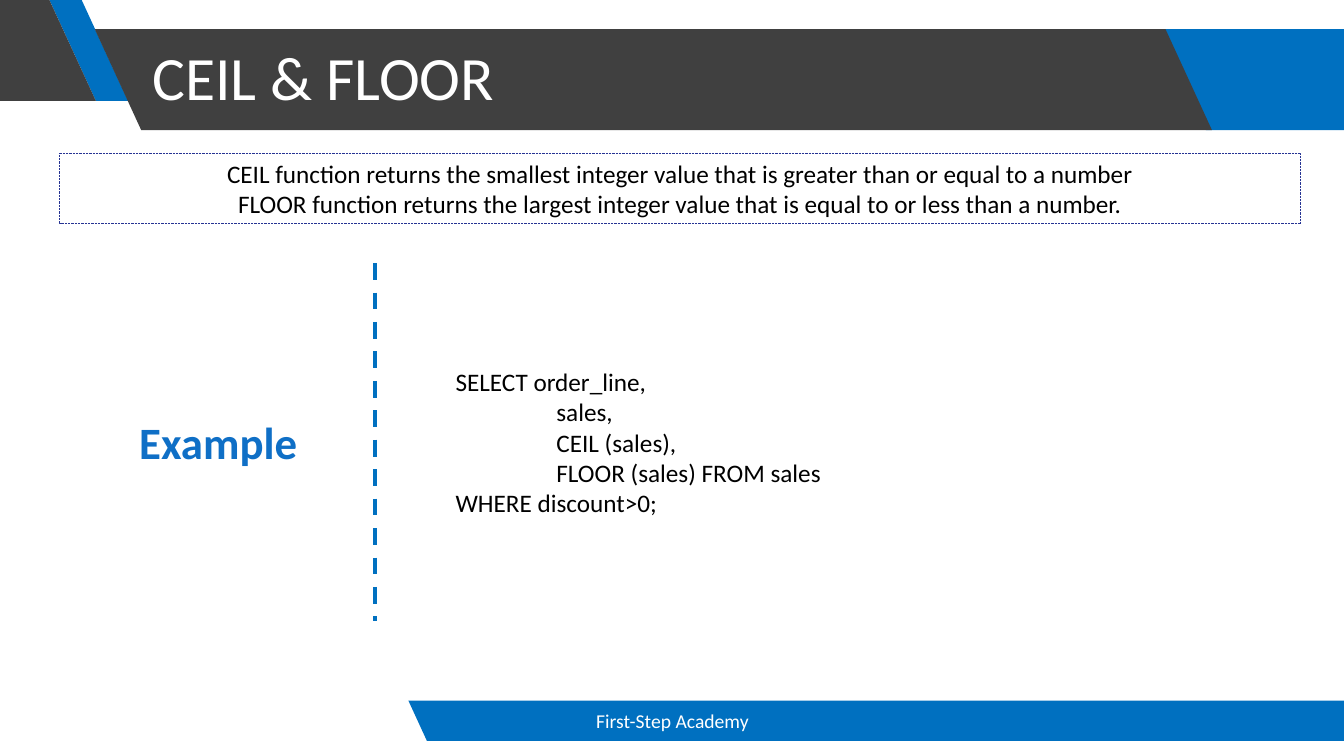
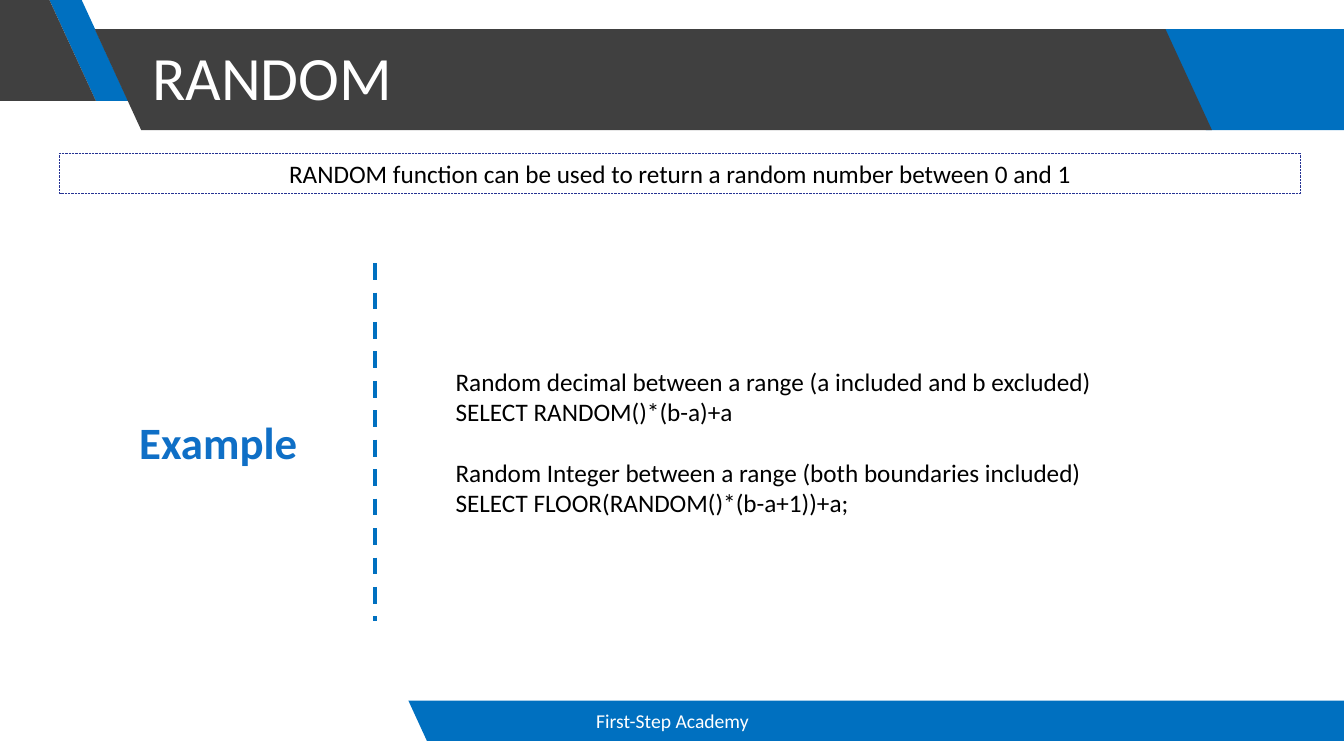
import pptx
import pptx.dml.color
import pptx.enum.dml
import pptx.enum.shapes
import pptx.enum.text
import pptx.oxml
import pptx.util

Inches = pptx.util.Inches
Pt = pptx.util.Pt
ALIGN = pptx.enum.text.PP_ALIGN
ANCHOR = pptx.enum.text.MSO_ANCHOR
DASH = pptx.enum.dml.MSO_LINE

FONT = "Calibri"
BLUE, DARK, WHITE, BLACK = "0070C0", "404040", "FFFFFF", "000000"
HEADING_BLUE, BOX_LINE = "0F6FC6", "263393"
SLIDE_WIDTH, SLIDE_HEIGHT = 13.33, 7.5
SLANT = 0.46  # sideways shift of a slanted edge per inch of height
BAND_TOP, BAND_HEIGHT = 0.29, 1
FOOTER_TEXT = "First-Step Academy"

# Code lines are (text, indent in inches, space before in points).
SLIDES = [
    {
        "title": "CEIL & FLOOR",
        "definition": [
            "CEIL function returns the smallest integer value that is greater than or equal to a number",
            "FLOOR function returns the largest integer value that is equal to or less than a number.",
        ],
        "code": [
            ("SELECT order_line,", 0, 0),
            ("sales,", 1, 0),
            ("CEIL (sales),", 1, 0),
            ("FLOOR (sales) FROM sales", 1, 0),
            ("WHERE discount>0;", 0, 0),
        ],
    },
    {
        "title": "RANDOM",
        "definition": ["RANDOM function can be used to return a random number between 0 and 1"],
        "code": [
            ("Random decimal between a range (a included and b excluded)", 0, 0),
            ("SELECT RANDOM()*(b-a)+a", 0, 0),
            ("Random Integer between a range (both boundaries included)", 0, 22),
            ("SELECT FLOOR(RANDOM()*(b-a+1))+a;", 0, 0),
        ],
    },
]


def color(value):
    return pptx.dml.color.RGBColor.from_string(value)


def write_text(shape, lines, size=18, text_color=BLACK, bold=False,
               align=ALIGN.LEFT, anchor=ANCHOR.MIDDLE, line_spacing=None):
    """Fill a shape with lines, each a string or (text, indent, space before)."""
    frame = shape.text_frame
    frame.word_wrap = True
    frame.auto_size = pptx.enum.text.MSO_AUTO_SIZE.NONE
    frame.vertical_anchor = anchor
    for index, line in enumerate(lines):
        text, indent, space_before = (line, 0, 0) if isinstance(line, str) else line
        paragraph = frame.add_paragraph() if index else frame.paragraphs[0]
        run = paragraph.add_run()
        run.text = text
        run.font.name = FONT
        run.font.size = Pt(size)
        run.font.bold = bold
        run.font.color.rgb = color(text_color)
        paragraph.alignment = align
        if line_spacing:
            paragraph.line_spacing = line_spacing
        if space_before:
            paragraph.space_before = Pt(space_before)
        if indent:
            properties = paragraph._p.get_or_add_pPr()
            properties.set("marL", str(Inches(indent)))
            properties.set("indent", "0")


def add_text(slide, left, top, width, height, lines, **text_format):
    box = slide.shapes.add_textbox(Inches(left), Inches(top), Inches(width), Inches(height))
    write_text(box, lines, **text_format)
    return box


def add_band(slide, left, top, right, height, fill, slant_left=True, slant_right=True):
    """Draw a band, left and right being its top corners; slants lean right going down."""
    shift = SLANT * height
    bottom = top + height
    corners = [
        (left, top),
        (right, top),
        (right + shift * slant_right, bottom),
        (left + shift * slant_left, bottom),
    ]
    points = [(Inches(x), Inches(y)) for x, y in corners]
    builder = slide.shapes.build_freeform(*points[0])
    builder.add_line_segments(points[1:], close=True)
    band = builder.convert_to_shape()
    band.shadow.inherit = False
    band.fill.solid()
    band.fill.fore_color.rgb = color(fill)
    band.line.fill.background()


def add_header(slide, title_text):
    add_band(slide, 11.5, BAND_TOP, SLIDE_WIDTH, BAND_HEIGHT, BLUE, slant_right=False)
    add_band(slide, 0.49, 0, 0.81, BAND_HEIGHT, BLUE)
    add_band(slide, 0, 0, 0.49, BAND_HEIGHT, DARK, slant_left=False)
    add_band(slide, 0.94, BAND_TOP, 11.56, BAND_HEIGHT, DARK)

    title = slide.shapes.title
    title.left, title.top = Inches(1.41), Inches(0.07)
    title.width, title.height = Inches(10.14), Inches(1.45)
    write_text(title, [title_text], size=44, text_color=WHITE, line_spacing=0.9)
    title.element.getparent().append(title.element)  # in front of the bands


def add_footer(slide, left, top, height):
    add_band(slide, left, top, SLIDE_WIDTH, height, BLUE, slant_right=False)
    add_text(slide, left + 0.37, top, 4.5, height, [FOOTER_TEXT],
             size=14, text_color=WHITE, align=ALIGN.CENTER)


def add_definition(slide, left, top, width, lines):
    height = 0.1 + 0.3 * len(lines)
    box = add_text(slide, left, top, width, height, lines,
                   align=ALIGN.CENTER, anchor=ANCHOR.TOP)
    box.line.color.rgb = color(BOX_LINE)
    box.line.width = Pt(0.5)
    box.line.dash_style = DASH.ROUND_DOT


def add_example(slide, left, top, width, height, code):
    """Place the heading, the dashed divider and the code side by side."""
    divider_x = Inches(left + 3.26)
    divider = slide.shapes.add_connector(
        pptx.enum.shapes.MSO_CONNECTOR.STRAIGHT,
        divider_x, Inches(top), divider_x, Inches(top + height))
    divider.line.color.rgb = color(BLUE)
    divider.line.width = Pt(3)
    divider.line.dash_style = DASH.DASH
    divider.element.spPr.append(pptx.oxml.parse_xml(
        '<a:effectLst xmlns:a="http://schemas.openxmlformats.org/drawingml/2006/main"/>'))

    code_offset = 3.96
    add_text(slide, left + code_offset, top, width - code_offset, height, code)
    add_text(slide, left, top, 3.41, height, ["Example"], size=32,
             text_color=HEADING_BLUE, bold=True, align=ALIGN.CENTER)


def add_function_slide(presentation, content):
    slide = presentation.slides.add_slide(presentation.slide_layouts[5])
    add_header(slide, content["title"])
    add_footer(slide, 4.05, 6.95, 0.4)
    add_definition(slide, 0.59, 1.52, 12.31, content["definition"])
    add_example(slide, 0.46, 2.61, 12.22, 3.55, content["code"])


def main():
    presentation = pptx.Presentation()
    presentation.slide_width = Inches(SLIDE_WIDTH)
    presentation.slide_height = Inches(SLIDE_HEIGHT)
    for content in SLIDES:
        add_function_slide(presentation, content)
    presentation.save("out.pptx")


if __name__ == "__main__":
    main()
